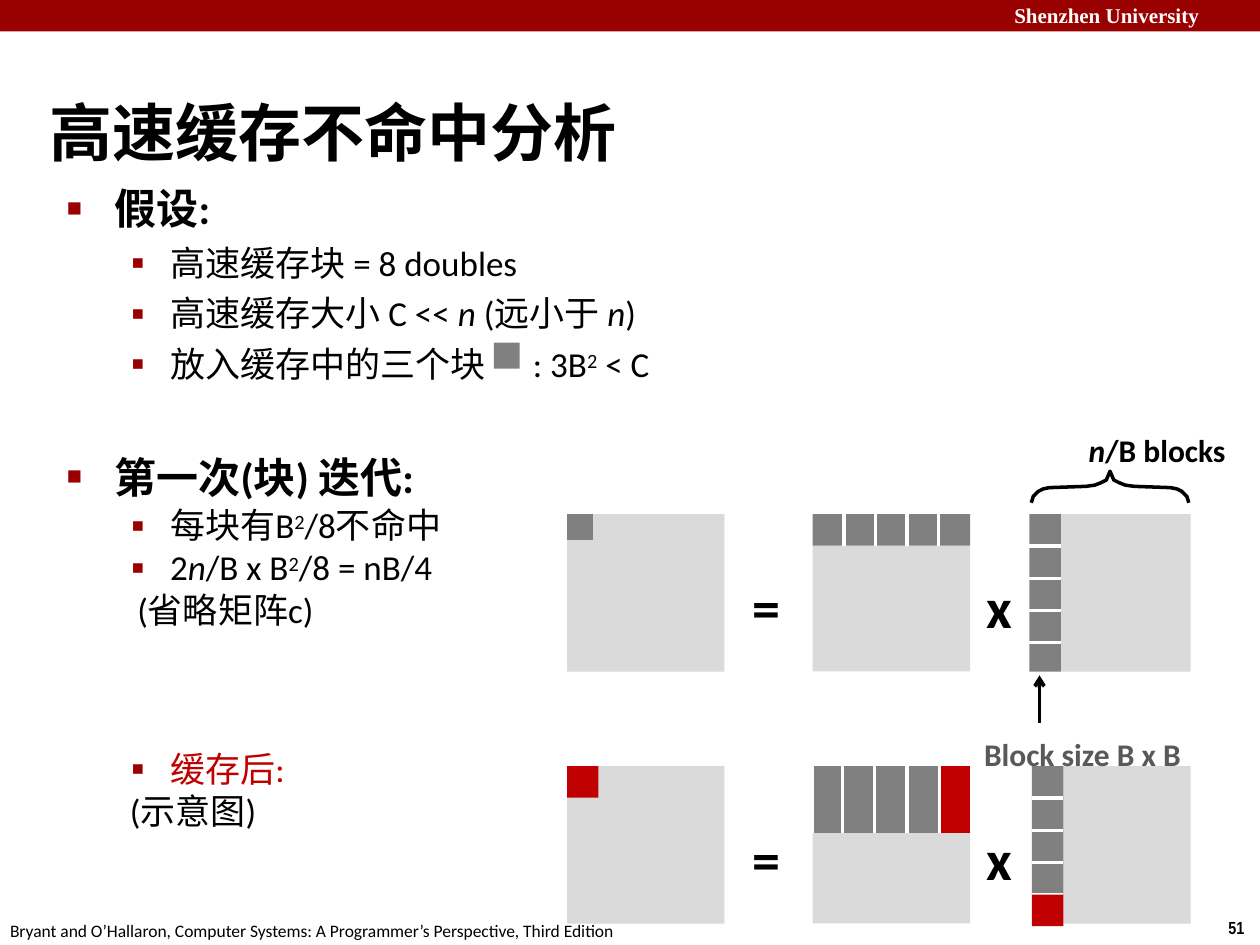
import pptx
import pptx.dml.color
import pptx.enum.shapes
import pptx.enum.text
import pptx.oxml
import pptx.oxml.ns
import pptx.util

COLUMNS, ROWS = 40, 30
BLACK, WHITE, RED, DARK_RED = "000000", "FFFFFF", "C00000", "990000"
BLOCK, MATRIX = "808080", "DADADA"
SHAPES = pptx.enum.shapes.MSO_SHAPE


def colour(text):
    return pptx.dml.color.RGBColor.from_string(text)


def add_xml(parent, tag, content="", **attributes):
    values = " ".join(f'{key}="{value}"' for key, value in attributes.items())
    xml = f'<a:{tag} {pptx.oxml.ns.nsdecls("a")} {values}>{content}</a:{tag}>'
    parent.append(pptx.oxml.parse_xml(xml))


class Page:
    font = "Calibri"
    line_width = 2

    def __init__(self, deck):
        self.slide = deck.slides.add_slide(deck.slide_layouts[5])
        self.shapes = self.slide.shapes
        self.column = deck.slide_width / COLUMNS
        self.row = deck.slide_height / ROWS

    def place(self, left, top, width, height):
        return (round(left * self.column), round(top * self.row),
                round(width * self.column), round(height * self.row))

    def style(self, para, size, color=BLACK, bold=False, font=None):
        para.font.name = font or self.font
        para.font.size = pptx.util.Pt(size)
        para.font.bold = bold
        para.font.color.rgb = colour(color)

    def frame(self, box):
        frame = box.text_frame
        frame.word_wrap = True
        frame.margin_left = frame.margin_right = 0
        frame.margin_top = frame.margin_bottom = 0
        return frame

    def title(self, text, *place):
        box = self.shapes.title
        box.left, box.top, box.width, box.height = self.place(*place)
        frame = self.frame(box)
        frame.auto_size = pptx.enum.text.MSO_AUTO_SIZE.NONE
        frame.margin_top = pptx.util.Inches(0.31)
        frame.vertical_anchor = pptx.enum.text.MSO_ANCHOR.MIDDLE
        para = frame.paragraphs[0]
        para.text = text
        para.alignment = pptx.enum.text.PP_ALIGN.LEFT
        self.style(para, 36, bold=True)

    def text(self, place, *paragraphs):
        frame = self.frame(self.shapes.add_textbox(*self.place(*place)))
        for index, settings in enumerate(paragraphs):
            para = frame.add_paragraph() if index else frame.paragraphs[0]
            self.paragraph(para, **settings)

    def paragraph(self, para, runs, size=20, color=BLACK, bold=False, font=None,
                  bullet=None, indent=0, hang=0, level=0, before=0, tab=None):
        para.level = level
        if before:
            para.space_before = pptx.util.Pt(before)
        properties = para._p.get_or_add_pPr()
        properties.set("marL", str(pptx.util.Inches(indent)))
        properties.set("indent", str(-pptx.util.Inches(hang)))
        if bullet:
            mark, percent = bullet
            add_xml(properties, "buClr", f'<a:srgbClr val="{DARK_RED}"/>')
            add_xml(properties, "buSzPct", val=percent * 1000)
            add_xml(properties, "buFont", typeface="Arial")
            add_xml(properties, "buChar", char=mark)
        if tab:
            add_xml(properties, "tabLst", f'<a:tab pos="{pptx.util.Inches(tab)}" algn="l"/>')
        self.style(para, size, color, bold, font)
        for text, kind in [(runs, "")] if isinstance(runs, str) else runs:
            span = para.add_run()
            span.text = text
            if kind == "italic":
                span.font.italic = True
            elif kind == "super":
                span.font._element.set("baseline", "26000")

    def block(self, color, *place):
        box = self.shapes.add_shape(SHAPES.RECTANGLE, *self.place(*place))
        box.shadow.inherit = False
        box.fill.solid()
        box.fill.fore_color.rgb = colour(color)
        box.line.fill.background()

    def line(self, start, end, color, arrow=False):
        points = self.place(*start, *end)
        line = self.shapes.add_connector(pptx.enum.shapes.MSO_CONNECTOR.STRAIGHT, *points)
        line.line.color.rgb = colour(color)
        line.line.width = pptx.util.Pt(self.line_width)
        if arrow:
            add_xml(line.line._get_or_add_ln(), "tailEnd", type="arrow")
        add_xml(line._element.spPr, "effectLst")

    def brace(self, tip, top):
        half = [(0.12, 0.28), (0.28, 0.36), (0.48, 0.44), (0.76, 0.48), (1.92, 0.52),
                (2.12, 0.56), (2.28, 0.64), (2.44, 0.8), (2.5, 1)]
        outline = [(-x, y) for x, y in reversed(half)] + [(0, 0)] + half
        points = [self.place(tip + x, top + y, 0, 0)[:2] for x, y in outline]
        builder = self.shapes.build_freeform(*points[0])
        builder.add_line_segments(points[1:], close=False)
        brace = builder.convert_to_shape()
        brace.shadow.inherit = False
        brace.fill.background()
        brace.line.color.rgb = colour(BLACK)
        brace.line.width = pptx.util.Pt(self.line_width)

    def block_table(self, place, widths, colors):
        table = self.shapes.add_table(1, len(widths), *self.place(*place)).table
        table.first_row = table.horz_banding = False
        edge = f'<a:solidFill><a:srgbClr val="{WHITE}"/></a:solidFill>'
        for index, (width, color) in enumerate(zip(widths, colors)):
            table.columns[index].width = round(width * self.column)
            cell = table.cell(0, index)
            properties = cell._tc.get_or_add_tcPr()
            for side in ("lnL", "lnR"):
                add_xml(properties, side, edge, w=pptx.util.Pt(2.12))
            for side in ("lnT", "lnB"):
                add_xml(properties, side, "<a:noFill/>")
            cell.fill.solid()
            cell.fill.fore_color.rgb = colour(color)

    def product(self, top, second_factor):
        self.block(MATRIX, 18, top, 5, 5)
        self.block(MATRIX, 25.8, top + 1, 5, 4)
        self.block(MATRIX, second_factor + 1, top, 36.8 - second_factor, 5)
        for sign, left in (("=", 23.88), ("x", 31.32)):
            self.text((left, top + 1.84, 1.2, 1.88), dict(runs=sign, size=32, bold=True))

    def block_column(self, left, top, height):
        self.block(BLOCK, left, top, 1, height)
        for number in range(1, 5):
            y = top + 1.02 * number
            self.line((left, y), (left + 1, y), WHITE)


def main():
    deck = pptx.Presentation()
    deck.slide_width, deck.slide_height = pptx.util.Inches(10), pptx.util.Inches(7.5)
    page = Page(deck)
    page.block(DARK_RED, 0, 0, COLUMNS, 1)
    page.text((32.2, 0.08, 7.6, 0.8), dict(
        runs="Shenzhen University", size=12, color=WHITE, bold=True, font="Times New Roman"))
    page.text((39, 29.12, 0.9, 0.7), dict(runs="51", size=10, bold=True, font="Arial Narrow"))
    page.title("高速缓存不命中分析", 1.56, 1.72, 33.2, 3.68)

    heading = dict(size=24, bold=True, bullet=("■", 60), indent=0.39, hang=0.38)
    item = dict(bullet=("▪", 110), indent=0.33, hang=0.31)
    detail = dict(item, indent=0.83, level=1, before=4.8)
    page.text(
        (2.08, 5.8, 21.24, 6.48),
        dict(heading, runs="假设:"),
        dict(detail, runs="高速缓存块 = 8 doubles"),
        dict(detail, runs=[("高速缓存大小 C << ", ""), ("n", "italic"), (" (远小于 ", ""),
                           ("n", "italic"), (")", "")]),
        dict(detail, tab=3.71, runs=[("放入缓存中的三个块\t: 3B", ""), ("2", "super"),
                                     (" < C", "")]))
    page.text((2.08, 14.32, 13.6, 1.6), dict(heading, runs="第一次(块) 迭代:"))
    page.text(
        (4.08, 16, 13.2, 4.16),
        dict(item, runs=[("每块有B", ""), ("2", "super"), ("/8不命中", "")]),
        dict(item, runs=[("2", ""), ("n", "italic"), ("/B x B", ""), ("2", "super"),
                         ("/8 = nB/4", "")]),
        dict(runs="(省略矩阵c)", indent=0.07))
    page.text((4.08, 23.72, 10.36, 2.72),
              dict(item, runs="缓存后:", color=RED),
              dict(runs="(示意图)", indent=0.01))
    page.block(BLOCK, 15.68, 10.88, 0.82, 0.82)

    first, after = 16.32, 24.32
    page.product(after, 32.76)
    page.block_column(32.76, after, 4.08)
    page.block(RED, 32.76, after + 4.08, 1, 1)
    page.block(RED, 18, after, 1, 1)
    page.block_table((25.8, after, 5, 2.12), [0.92, 1, 1.04, 1.04, 1], [BLOCK] * 4 + [RED])

    page.product(first, 32.68)
    page.block_column(32.68, first, 5)
    page.block(BLOCK, 18, first, 0.82, 0.82)
    page.block(BLOCK, 25.8, first, 5, 1)
    for number in range(1, 5):
        page.line((25.8 + number, first), (25.8 + number, first + 1), WHITE)

    page.text((31.24, 23.32, 7, 1.12),
              dict(runs="Block size B x B", size=18, color="595958", bold=True))
    page.line((33, 22.96), (33, 21.44), BLACK, arrow=True)
    page.brace(35.24, 14.96)
    page.text((34.56, 13.68, 5.2, 1.12),
              dict(runs=[("n", "italic"), ("/B blocks", "")], size=18, bold=True))
    page.text((0.32, 29.2, 20, 0.7), dict(size=10, runs=(
        "Bryant and O’Hallaron, Computer Systems: A Programmer’s Perspective, Third Edition")))
    deck.save("out.pptx")


if __name__ == "__main__":
    main()
